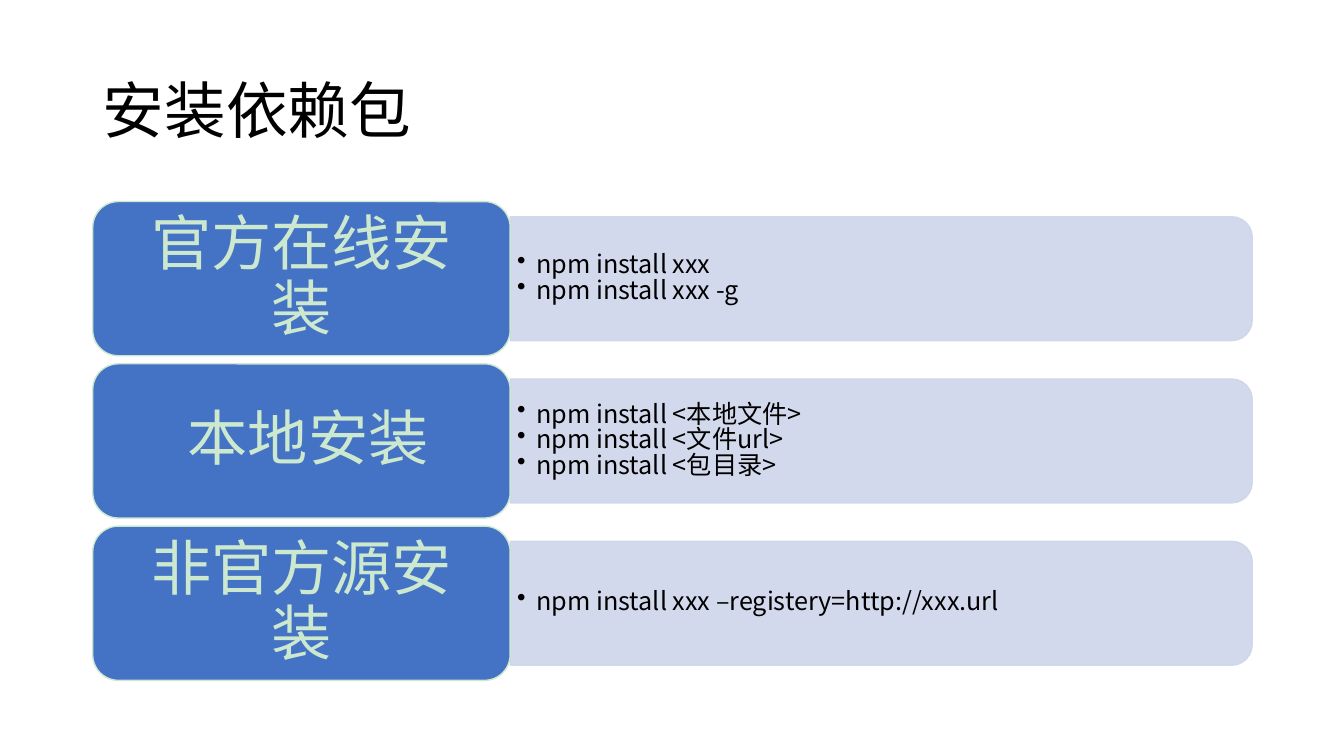
from lxml import etree
from pptx import Presentation
from pptx.dml.color import RGBColor
from pptx.enum import shapes, text
from pptx.oxml import ns
from pptx.util import Inches, Pt

FONT = "Noto Sans CJK SC"
BLACK = RGBColor(0x00, 0x00, 0x00)
BLUE = RGBColor(0x44, 0x72, 0xC4)
PALE_BLUE = RGBColor(0xCF, 0xD5, 0xEA)
PALE_GREEN = RGBColor(0xCC, 0xE8, 0xCF)

# Row geometry in inches
LEFT, TOP, PITCH = 0.92, 2, 1.61
LABEL_WIDTH, LABEL_HEIGHT = 4.14, 1.53
BAR_WIDTH, BAR_HEIGHT = 7.36, 1.23
LIST_WIDTH, LIST_HEIGHT = 7.3, 1.11

INSTALL_METHODS = [
    ("官方在线安装", ["npm install xxx", "npm install xxx -g"]),
    (" 本地安装", ["npm install <本地文件>", "npm install <文件url>",
               "npm install <包目录>"]),
    ("非官方源安装", ["npm install xxx –registery=http://xxx.url"]),
]


def add_bullet(paragraph):
    properties = paragraph._p.get_or_add_pPr()
    properties.set("marL", str(Inches(0.19)))
    properties.set("indent", str(-Inches(0.19)))
    bullet = etree.SubElement(properties, ns.qn("a:buChar"))
    bullet.set("char", "•")


def write_text(shape, lines, size, color, align=text.PP_ALIGN.LEFT,
               insets=(0.1, 0.05), spacing=0.9, bullets=False):
    frame = shape.text_frame
    frame.word_wrap = True
    frame.auto_size = text.MSO_AUTO_SIZE.NONE
    frame.vertical_anchor = text.MSO_ANCHOR.MIDDLE
    frame.margin_left = frame.margin_right = Inches(insets[0])
    frame.margin_top = frame.margin_bottom = Inches(insets[1])
    for index, line in enumerate(lines):
        paragraph = frame.add_paragraph() if index else frame.paragraphs[0]
        if bullets:
            add_bullet(paragraph)
        paragraph.alignment = align
        paragraph.line_spacing = spacing
        run = paragraph.add_run()
        run.text = line
        run.font.size = Pt(size)
        run.font.name = FONT
        run.font.color.rgb = color
        # East Asian characters take their own font setting
        east_asian = etree.SubElement(run.font._element, ns.qn("a:ea"))
        east_asian.set("typeface", FONT)


def add_box(slide, kind, left, top, width, height, fill, line):
    shape = slide.shapes.add_shape(kind, Inches(left), Inches(top),
                                   Inches(width), Inches(height))
    shape.shadow.inherit = False
    shape.fill.solid()
    shape.fill.fore_color.rgb = fill
    shape.line.color.rgb = line
    shape.line.width = Pt(1)
    return shape


def add_bar(slide, left, middle):
    # The upright shape is turned so its rounded end points right
    bar = add_box(slide, shapes.MSO_SHAPE.ROUND_2_SAME_RECTANGLE,
                  left + (BAR_WIDTH - BAR_HEIGHT) / 2, middle - BAR_WIDTH / 2,
                  BAR_HEIGHT, BAR_WIDTH, PALE_BLUE, PALE_BLUE)
    bar.rotation = 90
    for color in bar._element.spPr.iter(ns.qn("a:srgbClr")):
        etree.SubElement(color, ns.qn("a:alpha")).set("val", "90000")


def add_method(slide, top, label, commands):
    list_left = LEFT + LABEL_WIDTH
    middle = top + LABEL_HEIGHT / 2
    add_bar(slide, list_left, middle)
    command_list = slide.shapes.add_textbox(
        Inches(list_left), Inches(middle - LIST_HEIGHT / 2),
        Inches(LIST_WIDTH), Inches(LIST_HEIGHT))
    write_text(command_list, commands, 18, BLACK, insets=(0.07, 0.04),
               spacing=0.85, bullets=True)
    label_box = add_box(slide, shapes.MSO_SHAPE.ROUNDED_RECTANGLE, LEFT, top,
                        LABEL_WIDTH, LABEL_HEIGHT, BLUE, PALE_GREEN)
    write_text(label_box, [label], 43, PALE_GREEN,
               align=text.PP_ALIGN.CENTER, insets=(0.25, 0.16))


def main():
    presentation = Presentation()
    presentation.slide_width = Inches(13.33)
    presentation.slide_height = Inches(7.5)
    slide = presentation.slides.add_slide(presentation.slide_layouts[5])

    # Title
    title = slide.shapes.title
    title.left, title.top = Inches(LEFT), Inches(0.4)
    title.width, title.height = Inches(11.5), Inches(1.45)
    write_text(title, ["安装依赖包"], 44, BLACK)

    # One row per installation method
    for row, (label, commands) in enumerate(INSTALL_METHODS):
        add_method(slide, TOP + row * PITCH, label, commands)

    presentation.save("out.pptx")


if __name__ == "__main__":
    main()
